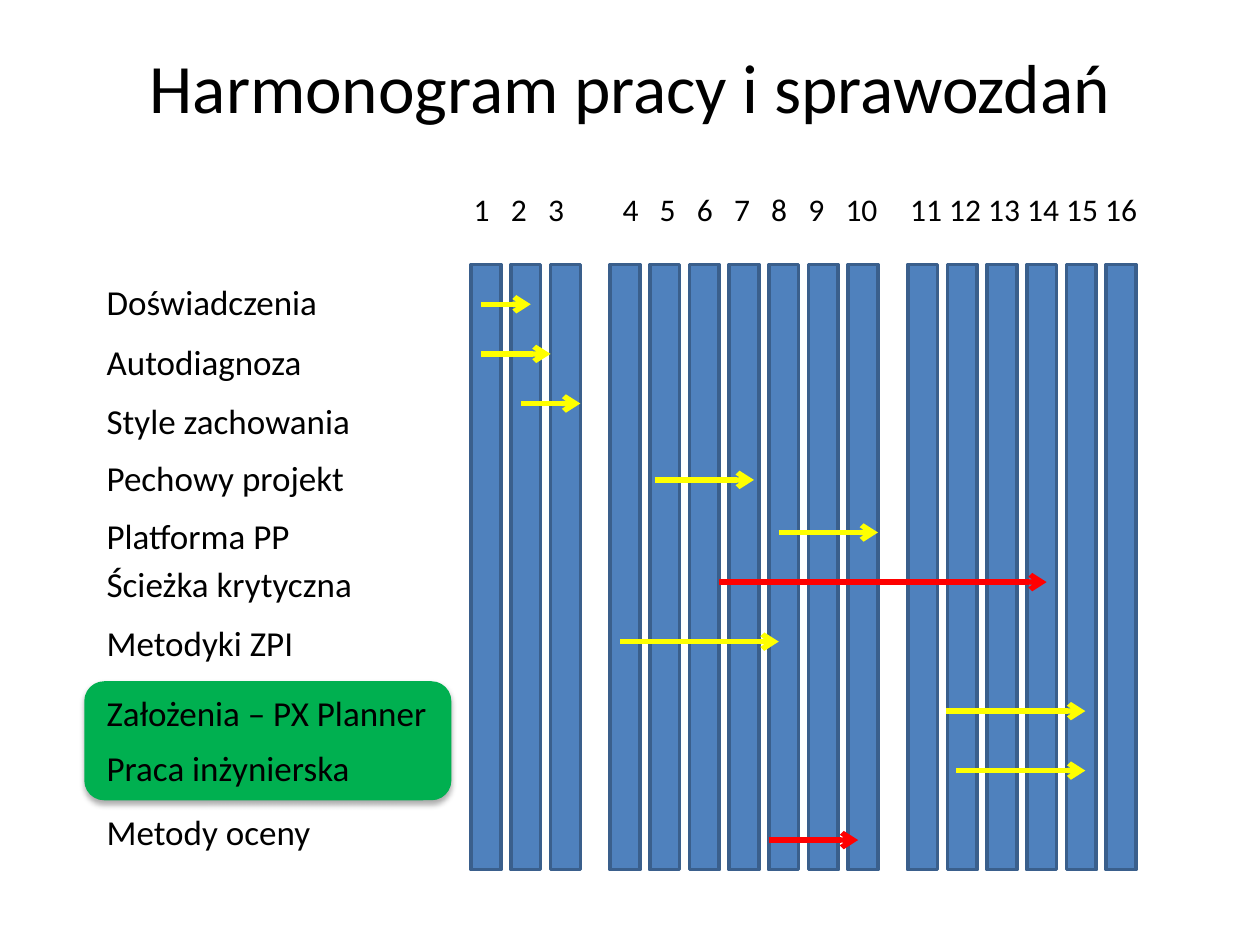
"""Build a schedule slide: tasks as arrows across sixteen week bars."""
from lxml import etree
from pptx import Presentation
from pptx.dml.color import RGBColor
from pptx.enum.shapes import MSO_CONNECTOR as CONN, MSO_SHAPE as SHAPE
from pptx.enum.text import MSO_ANCHOR as ANCHOR, PP_ALIGN as ALIGN
from pptx.oxml import parse_xml
from pptx.oxml.ns import nsdecls, qn
from pptx.util import Cm, Inches, Pt

BLACK = RGBColor(0x00, 0x00, 0x00)
GREEN = RGBColor(0x00, 0xB0, 0x50)
BLUE = RGBColor(0x4F, 0x81, 0xBD)
NAVY = RGBColor(0x3A, 0x5F, 0x8C)
YELLOW = RGBColor(0xFF, 0xFF, 0x00)
RED = RGBColor(0xFF, 0x00, 0x00)

UNIT = Cm(0.2)
LEFT, TOP = Inches(3.74), Inches(2.1)
WEEK, BAR_W, BAR_H, GROUP_GAP = 4, 3, 61, 2
LABEL_X = -38

prs = Presentation()
prs.slide_width, prs.slide_height = Inches(10), Inches(7.5)
s = prs.slides.add_slide(prs.slide_layouts[6])


def grid(col, row):
    return round(LEFT + col * UNIT), round(TOP + row * UNIT)


def add_text(text, x, y, w, h, size, align=ALIGN.LEFT, anchor=ANCHOR.TOP):
    tf = s.shapes.add_textbox(x, y, w, h).text_frame
    tf.word_wrap = True
    tf.vertical_anchor = anchor
    p = tf.paragraphs[0]
    p.alignment = align
    r = p.add_run()
    r.text = text
    r.font.name, r.font.size = "Calibri", Pt(size)
    r.font.color.rgb = BLACK
    return p


sp = s.shapes.add_shape(SHAPE.ROUNDED_RECTANGLE, *grid(-39, 42), 37 * UNIT, 12 * UNIT)
sp.fill.solid()
sp.fill.fore_color.rgb = GREEN
sp.line.fill.background()
sp.shadow.inherit = False
effects = sp._element.spPr.find(qn("a:effectLst"))
effects.append(parse_xml(
    f'<a:outerShdw {nsdecls("a")} blurRad="{Pt(3.5)}" dist="{Pt(2.2)}" dir="5400000" rotWithShape="0">'
    '<a:srgbClr val="000000"><a:alpha val="32000"/></a:srgbClr></a:outerShdw>'))

add_text("Harmonogram pracy i sprawozdań", round(prs.slide_width * 0.05), round(prs.slide_height * 0.04),
         round(prs.slide_width * 0.9), Inches(0.77), 39.6, ALIGN.CENTER, ANCHOR.MIDDLE)

week = 0
for group, count in enumerate((3, 7, 6)):
    for _ in range(count):
        x, y = grid(WEEK * week + GROUP_GAP * group, 0)
        sp = s.shapes.add_shape(SHAPE.RECTANGLE, x, y, BAR_W * UNIT, BAR_H * UNIT)
        sp.shadow.inherit = False
        sp.fill.solid()
        sp.fill.fore_color.rgb = BLUE
        sp.line.color.rgb, sp.line.width = NAVY, Pt(2)
        week += 1

for text, col, width in (
    ("1\t2\t3", -1, 12),
    ("4\t5\t6\t7\t8\t9\t10", 14, 31),
    ("11 12 13 14 15 16", 43, 31),
):
    p = add_text(text, *grid(col, -8.1), width * UNIT, 5 * UNIT, 18)
    if "\t" in text:
        tabs = etree.SubElement(p._p.get_or_add_pPr(), qn("a:tabLst"))
        for i in range(text.count("\t")):
            etree.SubElement(tabs, qn("a:tab"), pos=str(Inches(0.295 * (i + 1))), algn="l")

for text, label_row, arrow_row, start, end, color in (
    ("Doświadczenia", 1, 4, 1, 6, YELLOW),
    ("Autodiagnoza", 7, 9, 1, 8, YELLOW),
    ("Style zachowania", 13, 14, 5, 11, YELLOW),
    ("Pechowy projekt", 18.7, 21.7, 18.5, 28.5, YELLOW),
    ("Platforma PP", 24.6, 27, 31, 41, YELLOW),
    ("Ścieżka krytyczna", 29.4, 32, 25, 58, RED),
    ("Metodyki ZPI", 35.4, 38, 15, 31, YELLOW),
    ("Założenia – PX Planner", 42.4, 45, 47.9, 61.9, YELLOW),
    ("Praca inżynierska", 48, 51, 48.9, 61.9, YELLOW),
    ("Metody oceny", 54.4, 58, 30, 39, RED),
):
    add_text(text, *grid(LABEL_X, label_row), 36 * UNIT, Inches(0.44), 20)
    arrow = s.shapes.add_connector(CONN.STRAIGHT, *grid(start, arrow_row), *grid(end, arrow_row))
    arrow.line.color.rgb, arrow.line.width = color, Pt(3)
    etree.SubElement(arrow.line._get_or_add_ln(), qn("a:tailEnd"), type="arrow")
    etree.SubElement(arrow._element.spPr, qn("a:effectLst"))

prs.save("out.pptx")
